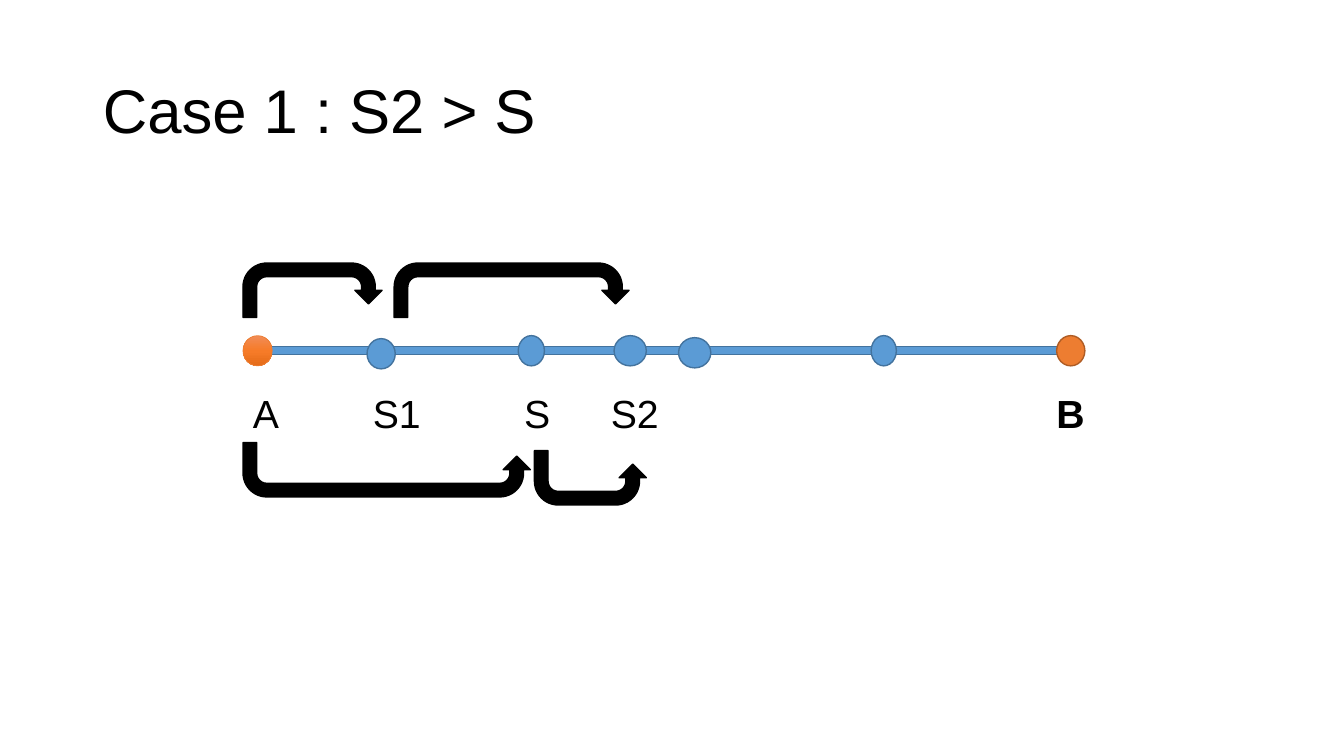
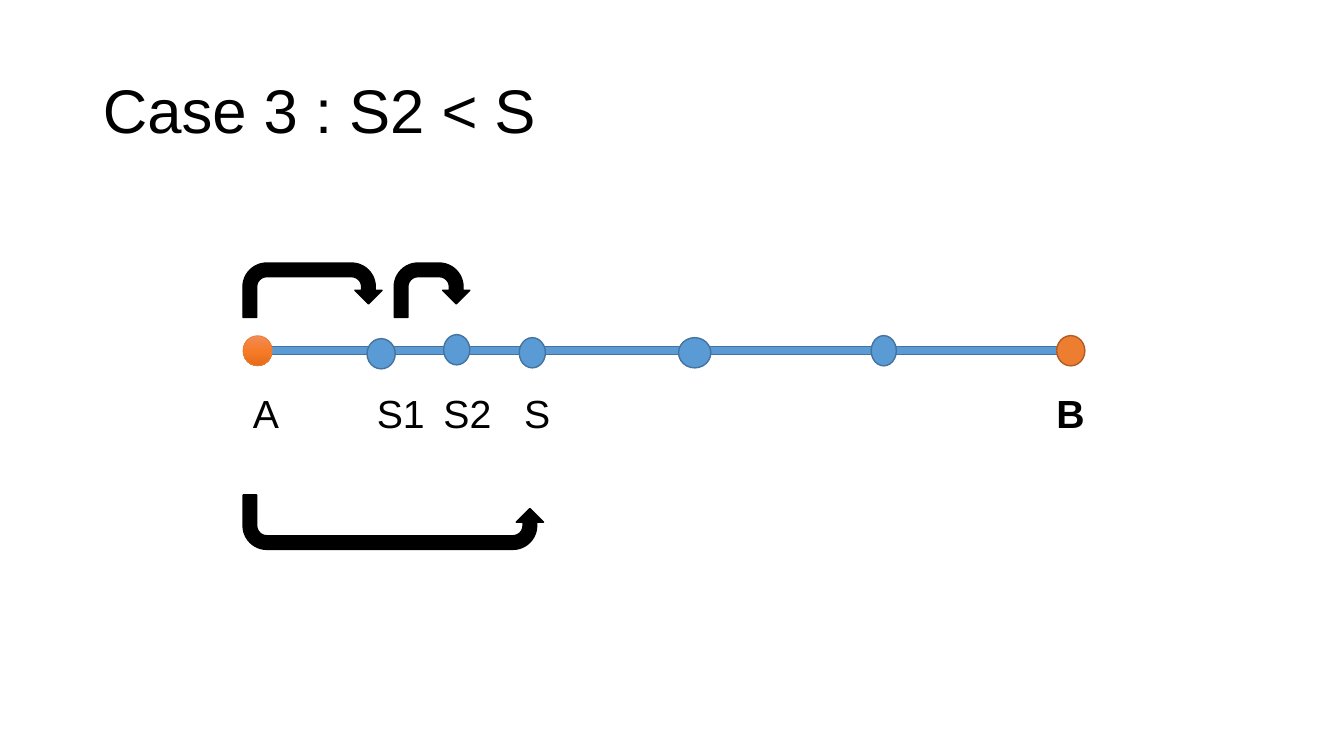
"""Builds two slides that compare hop paths along a line from A to B."""
import copy
import dataclasses

import pptx
import pptx.dml.color
import pptx.enum.shapes
import pptx.enum.text
import pptx.oxml.ns
import pptx.util

SHAPE = pptx.enum.shapes.MSO_SHAPE
TEXT = pptx.enum.text


@dataclasses.dataclass(frozen=True)
class Theme:
    font: str = "Arial"
    title_size: int = 44
    label_size: int = 28
    line_width: float = 1
    start_line_width: float = 0.5
    ink: str = "000000"
    blue: str = "5B9BD5"
    blue_line: str = "43739E"
    orange: str = "ED7D31"
    orange_line: str = "AF5C24"
    start_stops: tuple = ((0, "F18C57"), (0.5, "F67B28"), (1, "E56C19"))


THEME = Theme()
PX = 9144
SLIDE_SIZE = (1333, 750)
TITLE_BOX = (92, 40, 1150, 145)
TRACK_BOX = (250, 344, 819, 8)
DOT_HEIGHT = 30
LABEL_TOP, LABEL_HEIGHT = 381, 57
HOP_TOP, HOP_HEIGHT = 261, 54

START_DOT = (241, 333, 29)
END_DOT = (1048, 333, 28)
SHARED_DOTS = [(864, 333, 25), (364, 336, 28), (673, 335, 32)]
SHARED_LABELS = [("A", 241, 41, False), ("B", 1038, 38, True), ("S", 510, 88, False)]
FIRST_HOP = (241, 138)

CASES = [
    {
        "title": "Case 1 : S2 > S",
        "dots": [(514, 333, 26), (609, 333, 32)],
        "labels": [("S1", 360, 74, False), ("S2", 596, 80, False)],
        "second_hop": (391, 233),
        "lower_hops": [(241, 439, 285), (530, 447, 111)],
    },
    {
        "title": "Case 3 : S2 < S",
        "dots": [(515, 335, 26), (440, 332, 26)],
        "labels": [("S1", 364, 74, False), ("S2", 430, 80, False)],
        "second_hop": (391, 75),
        "lower_hops": [(241, 491, 298)],
    },
]


def px(*lengths):
    return [pptx.util.Emu(n * PX) for n in lengths]


def rgb(value):
    return pptx.dml.color.RGBColor.from_string(value)


def write(p, text, size, bold=False):
    r = p.add_run()
    r.text = text
    r.font.name = THEME.font
    r.font.size = pptx.util.Pt(size)
    r.font.bold = bold
    r.font.color.rgb = rgb(THEME.ink)


def add_title(slide, text):
    title = slide.shapes.title
    title.left, title.top, title.width, title.height = px(*TITLE_BOX)
    tf = title.text_frame
    tf.vertical_anchor = TEXT.MSO_ANCHOR.MIDDLE
    p = tf.paragraphs[0]
    p.alignment = TEXT.PP_ALIGN.LEFT
    p.line_spacing = 0.9
    write(p, text, THEME.title_size)


def add_shape(slide, kind, box, fill, line, width=THEME.line_width):
    s = slide.shapes.add_shape(kind, *px(*box))
    s.shadow.inherit = False
    s.fill.solid()
    s.fill.fore_color.rgb = rgb(fill)
    s.line.color.rgb = rgb(line)
    s.line.width = pptx.util.Pt(width)
    return s


def add_dot(slide, dot, fill=THEME.blue, line=THEME.blue_line, width=THEME.line_width):
    left, top, diameter = dot
    box = (left, top, diameter, DOT_HEIGHT)
    return add_shape(slide, SHAPE.OVAL, box, fill, line, width)


def add_start_dot(slide):
    s = add_dot(slide, START_DOT, THEME.orange, THEME.orange, THEME.start_line_width)
    s.fill.gradient()
    s.fill.gradient_angle = 270
    stops = next(s.element.spPr.iter(pptx.oxml.ns.qn("a:gsLst")))
    stops.append(copy.deepcopy(stops[0]))
    for stop, (position, color) in zip(s.fill.gradient_stops, THEME.start_stops):
        stop.position = position
        stop.color.rgb = rgb(color)


def add_label(slide, text, left, width, bold):
    tf = slide.shapes.add_textbox(*px(left, LABEL_TOP, width, LABEL_HEIGHT)).text_frame
    tf.word_wrap = True
    tf.auto_size = TEXT.MSO_AUTO_SIZE.SHAPE_TO_FIT_TEXT
    write(tf.paragraphs[0], text, THEME.label_size, bold)


def add_hop(slide, left, top, width, below=False):
    box = (left, top, width, HOP_HEIGHT)
    s = add_shape(slide, SHAPE.U_TURN_ARROW, box, THEME.ink, THEME.ink)
    if below:
        s.rotation = 180
        s.element.spPr.get_or_add_xfrm().set("flipH", "1")


def build_case(prs, case):
    slide = prs.slides.add_slide(prs.slide_layouts[5])
    add_title(slide, case["title"])
    add_shape(slide, SHAPE.RECTANGLE, TRACK_BOX, THEME.blue, THEME.blue_line)
    add_start_dot(slide)
    add_dot(slide, END_DOT, THEME.orange, THEME.orange_line)
    for dot in SHARED_DOTS + case["dots"]:
        add_dot(slide, dot)
    for label in SHARED_LABELS + case["labels"]:
        add_label(slide, *label)
    for left, width in (FIRST_HOP, case["second_hop"]):
        add_hop(slide, left, HOP_TOP, width)
    for hop in case["lower_hops"]:
        add_hop(slide, *hop, below=True)


def main():
    prs = pptx.Presentation()
    prs.slide_width, prs.slide_height = px(*SLIDE_SIZE)
    for case in CASES:
        build_case(prs, case)
    prs.save("out.pptx")


if __name__ == "__main__":
    main()
